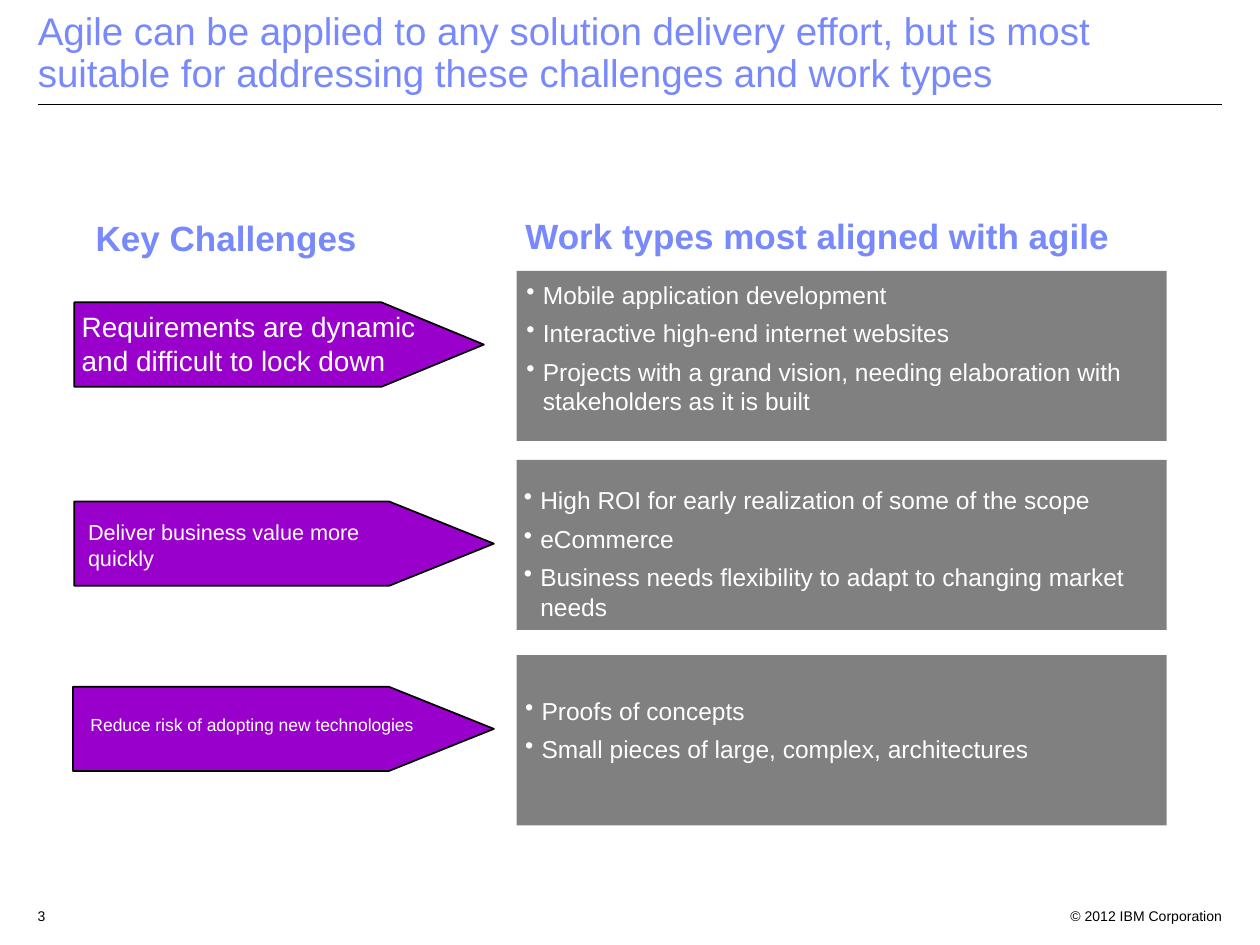
from lxml import etree
from pptx import Presentation
from pptx.dml.color import RGBColor
from pptx.enum.shapes import MSO_CONNECTOR, MSO_SHAPE
from pptx.enum.text import MSO_ANCHOR, MSO_AUTO_SIZE, PP_ALIGN
from pptx.oxml import parse_xml
from pptx.oxml.ns import nsdecls, qn
from pptx.util import Inches, Pt

LEFT, RIGHT = PP_ALIGN.LEFT, PP_ALIGN.RIGHT
TOP, MID, BASE = MSO_ANCHOR.TOP, MSO_ANCHOR.MIDDLE, MSO_ANCHOR.BOTTOM
BLUE, WHITE, BLACK, GREY, PLUM = "7889FB", "FFFFFF", "000000", "808080", "9900CC"

deck = Presentation()
deck.slide_width, deck.slide_height = Inches(10), Inches(7.5)
col, row = deck.slide_width / 100, deck.slide_height / 75
slide = deck.slides.add_slide(deck.slide_layouts[5])
shapes = slide.shapes
rgb = RGBColor.from_string


def grid(x, y, w, h):
    """Turn columns and rows into slide lengths."""
    return int(x * col), int(y * row), int(w * col), int(h * row)


def write(box, lines, size, color, anchor=TOP, align=LEFT, bold=False, bullet=False):
    frame = box.text_frame
    frame.word_wrap = True
    frame.auto_size = MSO_AUTO_SIZE.NONE
    frame.vertical_anchor = anchor
    frame.text = "\n".join(lines)
    for para in frame.paragraphs:
        para.alignment = align
        if bullet:
            para.space_after = Pt(5.2)
            props = para._p.get_or_add_pPr()
            props.set("marL", str(Inches(0.13)))
            props.set("indent", str(-Inches(0.13)))
            props.append(parse_xml(
                f'<a:buClr {nsdecls("a")}><a:srgbClr val="{color}"/></a:buClr>'))
            props.append(parse_xml(f'<a:buChar {nsdecls("a")} char="•"/>'))
        font = para.font
        font.name, font.size, font.bold = "Arial", Pt(size), bold
        font.color.rgb = rgb(color)
    return frame


# Title and rule
title = shapes.title
title.left, title.top, title.width, title.height = grid(2, -0.8, 95, 8.9)
frame = write(title, ["Agile can be applied to any solution delivery effort, but is most "
                      "suitable for addressing these challenges and work types"],
              22, BLUE, BASE)
frame.paragraphs[0].line_spacing = 0.9

x, y, end, low = grid(3, 8.3, 97, 8.3)
rule = shapes.add_connector(MSO_CONNECTOR.STRAIGHT, x, y, end, low)
rule.line.color.rgb = rgb(BLACK)
rule.line.width = Pt(0.75)
etree.SubElement(rule._element.spPr, qn("a:effectLst"))

# Column heads
for text, place in (("Key Challenges", (7.6, 17.2, 20.7, 3.3)),
                    ("Work types most aligned with agile", (41.7, 17, 46.4, 3.3))):
    frame = write(shapes.add_textbox(*grid(*place)), [text], 20, BLUE, bold=True)
    frame.word_wrap = False
    frame.margin_left = frame.margin_right = frame.margin_top = frame.margin_bottom = 0

# Panel top; arrow place; challenge, its size, place and anchor; work types, their place
bands = [
    (21.5, (5.9, 24, 32.5, 6.7),
     "Requirements are dynamic and difficult to lock down", 16, (5.5, 24.1, 31.5, 6.4), TOP,
     ["Mobile application development",
      "Interactive high-end internet websites",
      "Projects with a grand vision, needing elaboration with stakeholders as it is built"],
     (40.8, 21.3, 50.2, 12.6)),
    (36.5, (5.9, 39.8, 33.3, 6.7),
     "Deliver business value more quickly", 12.4, (6, 40.5, 24.5, 5.5), MID,
     ["High ROI for early realization of some of the scope",
      "eCommerce",
      "Business needs flexibility to adapt to changing market needs"],
     (40.6, 37.1, 52.4, 13.6)),
    (52, (5.8, 54.5, 33.4, 6.7),
     "Reduce risk of adopting new technologies", 10, (6.2, 55.5, 29.7, 4), MID,
     ["Proofs of concepts",
      "Small pieces of large, complex, architectures"],
     (40.7, 53.3, 50.3, 9.2)),
]
for top, arrow, need, size, spot, anchor, works, area in bands:
    panel = shapes.add_shape(MSO_SHAPE.RECTANGLE, *grid(41, top, 51.6, 13.5))
    panel.shadow.inherit = False
    panel.fill.solid()
    panel.fill.fore_color.rgb = rgb(GREY)
    panel.line.fill.background()

    x, y, w, h = grid(*arrow)
    neck = x + 0.75 * w
    path = shapes.build_freeform(x, y)
    path.add_line_segments([(neck, y), (x + w, y + h / 2), (neck, y + h), (x, y + h)])
    tag = path.convert_to_shape()
    tag.shadow.inherit = False
    tag.fill.solid()
    tag.fill.fore_color.rgb = rgb(PLUM)
    tag.line.color.rgb = rgb(BLACK)
    tag.line.width = Pt(1)

    write(shapes.add_textbox(*grid(*spot)), [need], size, WHITE, anchor)
    write(shapes.add_textbox(*grid(*area)), works, 14, WHITE, MID, bullet=True)

# Footer
write(shapes.add_textbox(*grid(2, 71.5, 4, 2)), ["3"], 8, BLACK)
write(shapes.add_textbox(*grid(83, 71.5, 15, 2)), ["© 2012 IBM Corporation"], 8, BLACK,
      align=RIGHT)

deck.save("out.pptx")
